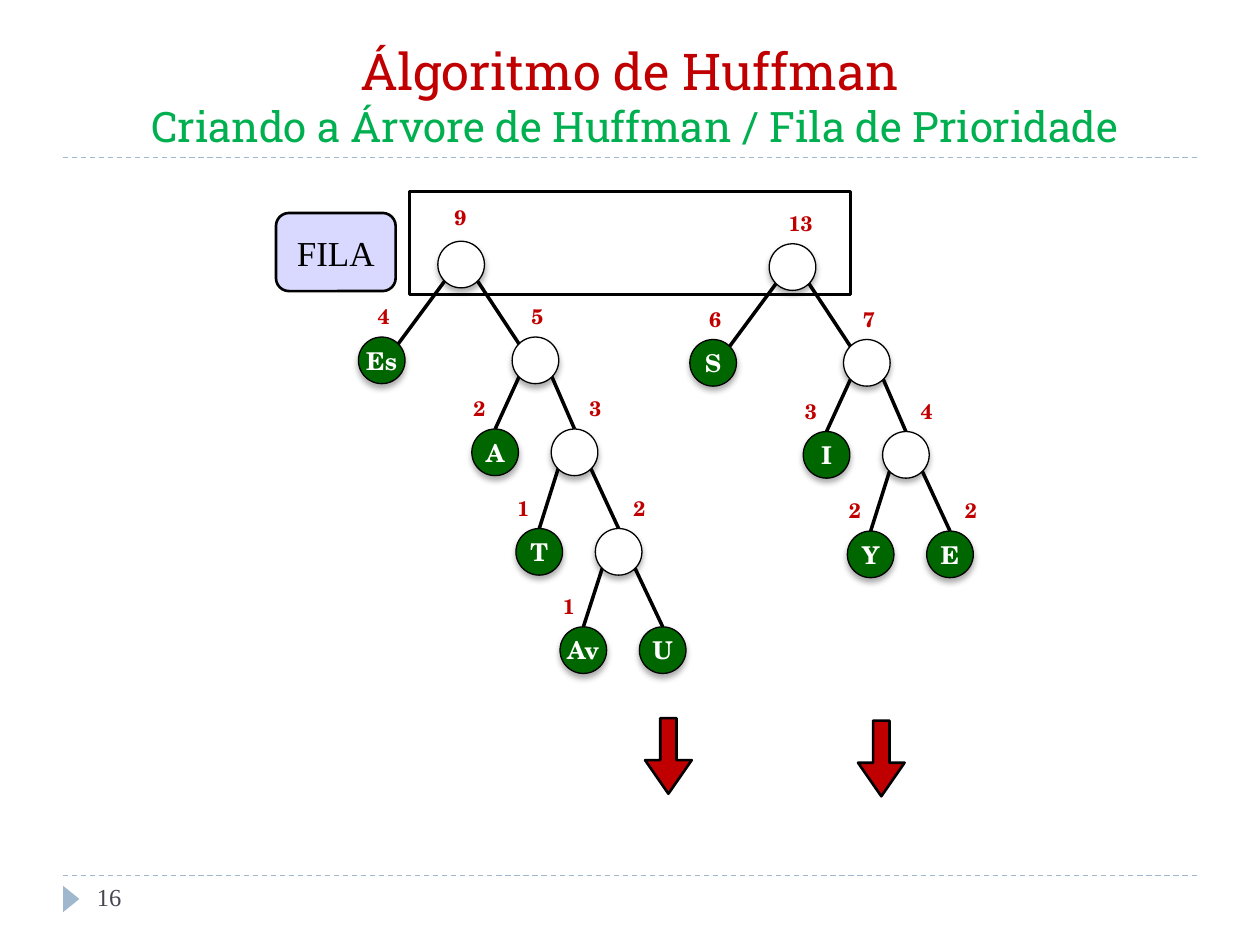
from lxml import etree
from pptx import Presentation
from pptx.dml.color import RGBColor
from pptx.enum.dml import MSO_LINE
from pptx.enum.shapes import MSO_CONNECTOR, MSO_SHAPE
from pptx.enum.text import MSO_ANCHOR, MSO_AUTO_SIZE, PP_ALIGN
from pptx.oxml import parse_xml
from pptx.oxml.ns import nsdecls, qn
from pptx.util import Inches, Pt

OVAL, RECT, ARROW = MSO_SHAPE.OVAL, MSO_SHAPE.RECTANGLE, MSO_SHAPE.DOWN_ARROW
TRIANGLE, PROCESS = MSO_SHAPE.ISOSCELES_TRIANGLE, MSO_SHAPE.FLOWCHART_ALTERNATE_PROCESS
STRAIGHT, DASH = MSO_CONNECTOR.STRAIGHT, MSO_LINE.DASH
CENTER, LEFT = PP_ALIGN.CENTER, PP_ALIGN.LEFT
TOP, MIDDLE, BOTTOM = MSO_ANCHOR.TOP, MSO_ANCHOR.MIDDLE, MSO_ANCHOR.BOTTOM
NO_FIT = MSO_AUTO_SIZE.NONE

BLACK = RGBColor(0x00, 0x00, 0x00)
WHITE = RGBColor(0xFF, 0xFF, 0xFF)
RED = RGBColor(0xC0, 0x00, 0x00)
GREEN = RGBColor(0x00, 0xB0, 0x50)
LEAF_GREEN = RGBColor(0x00, 0x66, 0x00)
BLUE = RGBColor(0x00, 0x00, 0xFF)
STEEL = RGBColor(0x9F, 0xB8, 0xCD)
SLATE = RGBColor(0x46, 0x46, 0x53)

SLAB, SCHOLA, TIMES = "Roboto Slab", "TeX Gyre Schola", "Times New Roman"
TITLE = {"name": SLAB, "size": Pt(29), "color": RED}
SUBTITLE = {"name": SLAB, "size": Pt(24), "color": GREEN}
LETTER = {"name": SCHOLA, "size": Pt(14), "bold": True, "color": WHITE}
WEIGHT = {"name": SCHOLA, "size": Pt(12), "bold": True, "color": RED}
QUEUE = {"name": TIMES, "size": Pt(20), "color": BLACK}
NUMBER = {"name": TIMES, "size": Pt(14), "color": SLATE}

NODE, CORNER = 0.37, 0.13
STEPS = [(-0.63, 0.59, 0.76), (-0.32, 0.31, 0.73), (-0.28, 0.35, 0.79), (-0.28, 0.35, 0.78)]
LABEL_DX = [(0.01, 0.01), (-0.13, 0.16), (-0.13, 0.16), (-0.12, 0.16)]
TREES = [
    (3.66, 2.1, -0.01, -0.38,
     ("9", "", [("4", "Es"),
                ("5", "", [("2", "A"),
                           ("3", "", [("1", "T"),
                                      ("2", "", [("1", "Av"), ("", "U")])])])])),
    (6.29, 2.12, 0.06, -0.35,
     ("13", "", [("6", "S"),
                 ("7", "", [("3", "I"),
                            ("4", "", [("2", "Y"), ("2", "E")])])])),
]


class Deck:
    """Draws styled elements on the current slide."""

    def __init__(self, prs):
        self.s = prs.slides.add_slide(prs.slide_layouts[5])

    def run(self, p, text, style):
        r = p.add_run()
        r.text = text
        for key, value in style.items():
            if key == "color":
                r.font.color.rgb = value
            else:
                setattr(r.font, key, value)
        return r

    def frame(self, sp, anchor=MIDDLE, align=CENTER, inset=None, wrap=True):
        tf = sp.text_frame
        form = {"word_wrap": wrap, "vertical_anchor": anchor, "auto_size": NO_FIT}
        if inset is not None:
            for side in ("left", "top", "right", "bottom"):
                form["margin_" + side] = Inches(inset)
        for key, value in form.items():
            setattr(tf, key, value)
        tf.paragraphs[0].alignment = align
        return tf.paragraphs[0]

    def shadow(self, parent, blur, dist, angle, alpha):
        effects = parse_xml(
            f'<a:effectLst {nsdecls("a")}><a:outerShdw blurRad="{Pt(blur)}" dist="{Pt(dist)}" '
            f'dir="{angle * 60000}" rotWithShape="0"><a:srgbClr val="000000">'
            f'<a:alpha val="{alpha * 1000}"/></a:srgbClr></a:outerShdw></a:effectLst>')
        old = parent.find(qn("a:effectLst"))
        if old is not None:
            parent.replace(old, effects)
        else:
            parent.find(qn("a:solidFill")).addnext(effects)

    def title(self, box, first, second):
        sp = self.s.shapes.title
        sp.left, sp.top, sp.width, sp.height = map(Inches, box)
        p = self.frame(sp, BOTTOM)
        self.run(p, first, TITLE)
        p.add_line_break()
        self.run(p, second, SUBTITLE)

    def text(self, box, text, style, parent=None, **form):
        sp = (parent or self.s).shapes.add_textbox(*map(Inches, box))
        return self.run(self.frame(sp, **form), text, style)

    def shape(self, kind, box, fill=None, line=BLACK, width=1.5, adjust=(), alpha=None, parent=None):
        sp = (parent or self.s).shapes.add_shape(kind, *map(Inches, box))
        sp.shadow.inherit = False
        for i, value in enumerate(adjust):
            sp.adjustments[i] = value
        if fill is None:
            sp.fill.background()
        else:
            sp.fill.solid()
            sp.fill.fore_color.rgb = fill
        if alpha:
            color = sp.fill._xPr.find(qn("a:solidFill"))[0]
            etree.SubElement(color, qn("a:alpha"), val=str(alpha * 1000))
        if line is None:
            sp.line.fill.background()
        else:
            sp.line.color.rgb = line
            sp.line.width = Pt(width)
        return sp

    def line(self, start, end, color=BLACK, width=2, dash=None, parent=None):
        sp = (parent or self.s).shapes.add_connector(STRAIGHT, *map(Inches, (*start, *end)))
        sp.line.color.rgb = color
        sp.line.width = Pt(width)
        if dash:
            sp.line.dash_style = dash
        etree.SubElement(sp._element.spPr, qn("a:effectLst"))

    def weight(self, group, text, x, y):
        r = self.text((x - 0.2, y - 0.15, 0.41, 0.3), text, WEIGHT, group, wrap=False)
        self.shadow(r._r.rPr, 3, 3, 45, 40)

    def tree(self, group, node, x, y, depth=0):
        letter, children = node[1], node[2] if len(node) > 2 else []
        for side, child in enumerate(children):
            sign = 2 * side - 1
            cx, cy = x + STEPS[depth][side], y + STEPS[depth][2]
            end = (cx, cy - NODE / 2) if depth else (cx - sign * CORNER, cy - CORNER)
            self.line((x + sign * CORNER, y + CORNER), end, parent=group)
            self.tree(group, child, cx, cy, depth + 1)
            if child[0]:
                self.weight(group, child[0], cx + LABEL_DX[depth][side], cy - 0.35)
        sp = self.shape(OVAL, (x - NODE / 2, y - NODE / 2, NODE, NODE),
                        LEAF_GREEN if letter else WHITE, width=0.75, parent=group)
        self.shadow(sp._element.spPr, 3.5, 2.2, 90, 32)
        if letter:
            self.run(self.frame(sp, inset=0, wrap=False), letter, LETTER)


def main():
    prs = Presentation()
    prs.slide_width, prs.slide_height = Inches(10), Inches(7.5)
    deck = Deck(prs)
    for y in (6.95, 1.25):
        deck.line((0.5, y), (9.5, y), STEEL, 0.75, DASH)
    deck.shape(TRIANGLE, (0.46, 7.07, 0.21, 0.13), STEEL, None).rotation = 90
    deck.title((0.5, 0.25, 9, 1), "Álgoritmo de Huffman",
               " Criando a Árvore de Huffman / Fila de Prioridade")
    deck.text((0.67, 6.95, 2.17, 0.4), "16", NUMBER, anchor=TOP, align=LEFT)
    for x, y, dx, dy, root in TREES:
        group = deck.s.shapes.add_group_shape()
        deck.tree(group, root, x, y)
        deck.weight(group, root[0], x + dx, y + dy)
    for x, y in ((5.12, 5.7), (6.81, 5.72)):
        deck.shape(ARROW, (x, y, 0.37, 0.6), RED, adjust=(0.35, 0.72))
    deck.shape(RECT, (3.25, 1.52, 3.5, 0.82))
    sp = deck.shape(PROCESS, (2.19, 1.69, 0.95, 0.62), BLUE, alpha=15)
    deck.run(deck.frame(sp), "FILA", QUEUE)
    prs.save("out.pptx")


if __name__ == "__main__":
    main()
